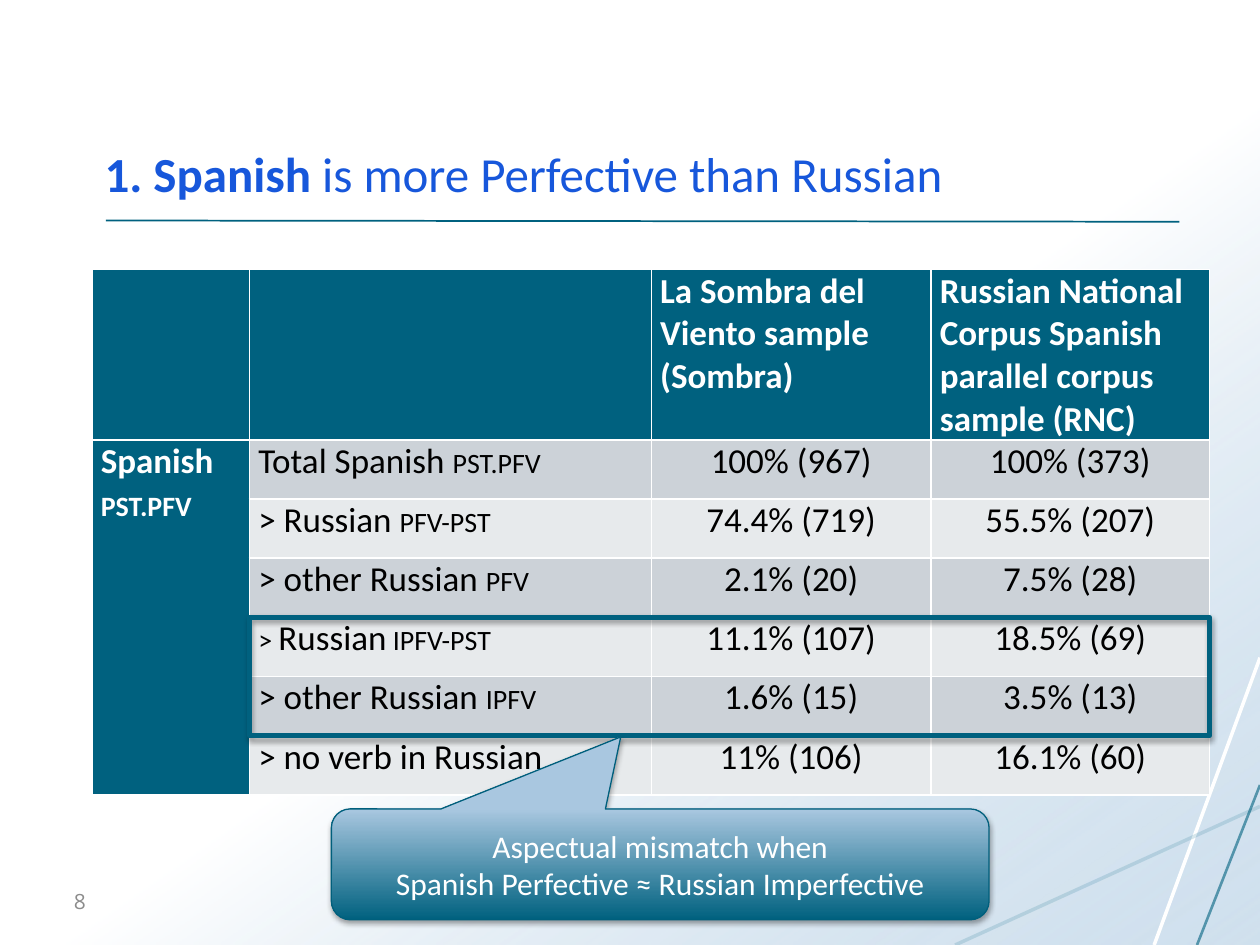
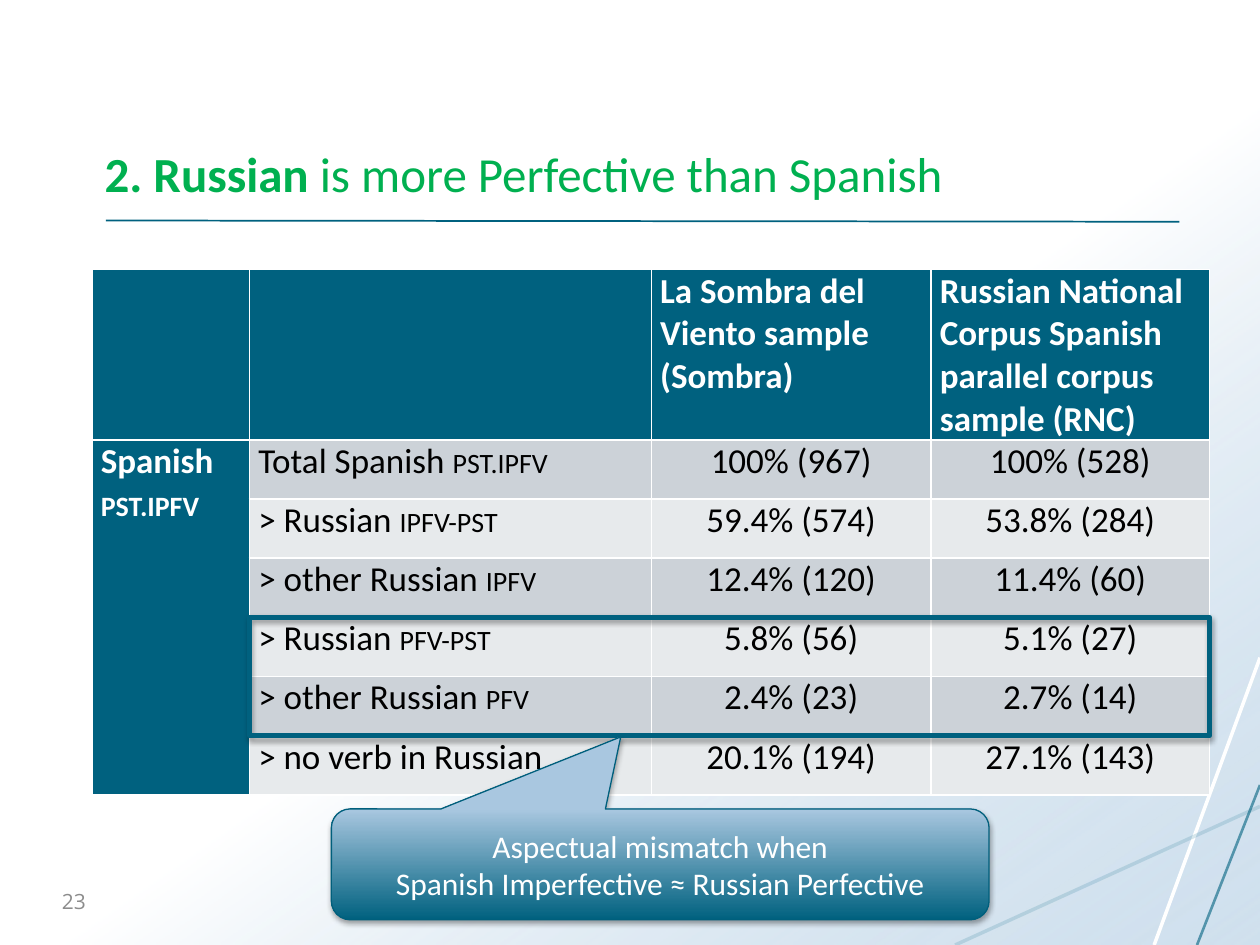
from lxml.etree import SubElement
from pptx import Presentation
from pptx.dml.color import RGBColor
from pptx.enum.shapes import MSO_CONNECTOR, MSO_SHAPE
from pptx.enum.text import MSO_ANCHOR, MSO_AUTO_SIZE, PP_ALIGN
from pptx.oxml.ns import qn
from pptx.util import Inches, Pt

TEAL = RGBColor(0x00, 0x61, 0x7F)
MID_TEAL = RGBColor(0x15, 0x71, 0x8F)
EDGE_TEAL = RGBColor(0x00, 0x5F, 0x7C)
PALE_BLUE = RGBColor(0xA9, 0xC7, 0xE0)
WHITE = RGBColor(0xFF, 0xFF, 0xFF)
BLACK = RGBColor(0x00, 0x00, 0x00)
GREY = RGBColor(0x8C, 0x8C, 0x8C)
BLUE = RGBColor(0x17, 0x57, 0xDB)
GREEN = RGBColor(0x00, 0xB0, 0x50)
BANDS = [RGBColor(0xCC, 0xD2, 0xD8), RGBColor(0xE7, 0xEA, 0xEC)]

# Table grid, in inches
LEFT, TOP = 0.73, 2.14
COLS = [1.25, 3.19, 2.22, 2.21]
HEAD_H, ROW_H, BODY_ROWS = 1.35, 0.47, 6
MARKED_ROW, MARKED_COUNT = 3, 2

HEADERS = ["", "", "La Sombra del Viento sample (Sombra)",
           "Russian National Corpus Spanish parallel corpus sample (RNC)"]
SLIDES = [
    dict(number="8", color=BLUE, lead="1. Spanish",
         rest=" is more Perfective than Russian", group="Spanish |pst.pfv",
         rows=[("Total Spanish |pst.pfv", "100% (967)", "100% (373)"),
               ("> Russian |pfv-pst", "74.4% (719)", "55.5% (207)"),
               ("> other Russian |pfv", "2.1% (20)", "7.5% (28)"),
               ("|> |Russian| ipfv-pst", "11.1% (107)", "18.5% (69)"),
               ("> other Russian |ipfv", "1.6% (15)", "3.5% (13)"),
               ("> no verb in Russian", "11% (106)", "16.1% (60)")],
         mismatch="Spanish Perfective ≈ Russian Imperfective"),
    dict(number="23", color=GREEN, lead="2. Russian",
         rest=" is more Perfective than Spanish", group="Spanish |pst.ipfv",
         rows=[("Total Spanish |pst.ipfv", "100% (967)", "100% (528)"),
               ("> Russian |ipfv-pst", "59.4% (574)", "53.8% (284)"),
               ("> other Russian |ipfv", "12.4% (120)", "11.4% (60)"),
               ("> Russian |pfv-pst", "5.8% (56)", "5.1% (27)"),
               ("> other Russian |pfv", "2.4% (23)", "2.7% (14)"),
               ("> no verb in Russian", "20.1% (194)", "27.1% (143)")],
         mismatch="Spanish Imperfective ≈ Russian Perfective"),
]


def write(p, text, size=20, color=BLACK, bold=False, font="Calibri", align=PP_ALIGN.LEFT):
    """Add text to a paragraph; every second part between bars is in small caps."""
    p.alignment = align
    for i, part in enumerate(text.split("|")):
        if part:
            r = p.add_run()
            r.text = part
            r.font.size, r.font.bold, r.font.name = Pt(size), bold, font
            r.font.color.rgb = color
            if i % 2:
                r.font._element.set("cap", "small")


def set_alpha(color_el, percent):
    SubElement(color_el, qn("a:alpha")).set("val", str(percent * 1000))


prs = Presentation()
prs.slide_width, prs.slide_height = Inches(10), Inches(7.5)
layout = prs.slide_layouts[5]
slides = [prs.slides.add_slide(layout) for _ in SLIDES]

# Shared backdrop: drawn once, then moved to the layout
shapes = slides[0].shapes
backdrop = shapes.add_shape(MSO_SHAPE.RECTANGLE, 0, 0, prs.slide_width, prs.slide_height)
backdrop.shadow.inherit = False
backdrop.line.fill.background()
backdrop.fill.gradient()
backdrop.fill.gradient_angle = 305
for stop, color, position in zip(backdrop.fill.gradient_stops, (WHITE, PALE_BLUE), (0.54, 1)):
    stop.color.rgb, stop.position = color, position
set_alpha(list(backdrop.element.spPr.iter(qn("a:srgbClr")))[-1], 54)
decor = [backdrop]
for x1, y1, x2, y2, color, width, alpha in [
        (10, 5.22, 9.16, 7.5, WHITE, 2, 100),
        (10, 6.4, 7.58, 7.5, MID_TEAL, 2, 16),
        (10, 6.23, 9.5, 7.5, TEAL, 1.5, 60),
        (0.84, 1.75, 9.36, 1.76, TEAL, 1, 100)]:
    line = shapes.add_connector(MSO_CONNECTOR.STRAIGHT, Inches(x1), Inches(y1),
                                Inches(x2), Inches(y2))
    line.line.color.rgb, line.line.width = color, Pt(width)
    if alpha < 100:
        set_alpha(next(line.element.spPr.iter(qn("a:srgbClr"))), alpha)
    SubElement(line.element.spPr, qn("a:effectLst"))
    decor.append(line)
for i, s in enumerate(decor):
    layout.shapes.element.insert(2 + i, s.element)

for slide, data in zip(slides, SLIDES):
    shapes = slide.shapes

    title = shapes.title
    title.left, title.top, title.width, title.height = map(Inches, (LEFT, 0.33, 8.62, 1.33))
    tf = title.text_frame
    tf.vertical_anchor, tf.auto_size = MSO_ANCHOR.BOTTOM, MSO_AUTO_SIZE.NONE
    write(tf.paragraphs[0], data["lead"], size=28, color=data["color"], bold=True)
    write(tf.paragraphs[0], data["rest"], size=28, color=data["color"])

    tf = shapes.add_textbox(*map(Inches, (0.36, 6.95, 0.42, 0.4))).text_frame
    tf.word_wrap, tf.vertical_anchor = True, MSO_ANCHOR.MIDDLE
    write(tf.paragraphs[0], data["number"], size=12, color=GREY, font="Open Sans",
          align=PP_ALIGN.RIGHT)

    table = shapes.add_table(1 + BODY_ROWS, len(COLS), Inches(LEFT), Inches(TOP),
                             Inches(sum(COLS)), Inches(HEAD_H + BODY_ROWS * ROW_H)).table
    table.first_col = True
    for col, width in zip(table.columns, COLS):
        col.width = Inches(width)
    grid = [HEADERS] + [("", *row) for row in data["rows"]]
    grid[1] = (data["group"], *data["rows"][0])
    for i, row in enumerate(grid):
        table.rows[i].height = Inches(ROW_H if i else HEAD_H)
        for j, text in enumerate(row):
            cell = table.cell(i, j)
            strong = i == 0 or j == 0
            cell.margin_left = cell.margin_right = Inches(0.07)
            cell.margin_top = cell.margin_bottom = 0
            cell.fill.solid()
            cell.fill.fore_color.rgb = TEAL if strong else BANDS[(i - 1) % 2]
            write(cell.text_frame.paragraphs[0], text, bold=strong,
                  color=WHITE if strong else BLACK,
                  align=PP_ALIGN.CENTER if i and j > 1 else PP_ALIGN.LEFT)
    table.cell(1, 0).merge(table.cell(BODY_ROWS, 0))

    marker = shapes.add_shape(
        MSO_SHAPE.RECTANGLE, Inches(LEFT + COLS[0]), Inches(TOP + HEAD_H + MARKED_ROW * ROW_H),
        Inches(sum(COLS[1:])), Inches(MARKED_COUNT * ROW_H))
    marker.fill.background()
    marker.line.color.rgb, marker.line.width = TEAL, Pt(3)

    callout = shapes.add_shape(MSO_SHAPE.ROUNDED_RECTANGULAR_CALLOUT,
                               *map(Inches, (2.63, 6.42, 5.22, 0.88)))
    for i, value in enumerate((-0.06, -1.15, 0.17)):
        callout.adjustments[i] = value
    callout.fill.gradient()
    callout.fill.gradient_angle = 90
    for stop, color, position in zip(callout.fill.gradient_stops, (TEAL, PALE_BLUE), (0, 1)):
        stop.color.rgb, stop.position = color, position
    callout.line.color.rgb, callout.line.width = EDGE_TEAL, Pt(0.75)
    tf = callout.text_frame
    tf.word_wrap, tf.vertical_anchor = True, MSO_ANCHOR.MIDDLE
    for p, text in ((tf.paragraphs[0], "Aspectual mismatch when"),
                    (tf.add_paragraph(), data["mismatch"])):
        write(p, text, size=18, color=WHITE, align=PP_ALIGN.CENTER)

    for s in (marker, callout):
        s.shadow.inherit = False
        shadow = SubElement(s.element.spPr.find(qn("a:effectLst")), qn("a:outerShdw"),
                            blurRad=str(Pt(3.1)), dist=str(Pt(1.8)), dir="5400000",
                            rotWithShape="0")
        color_el = SubElement(shadow, qn("a:srgbClr"), val=str(BLACK))
        set_alpha(color_el, 35)

prs.save("out.pptx")
